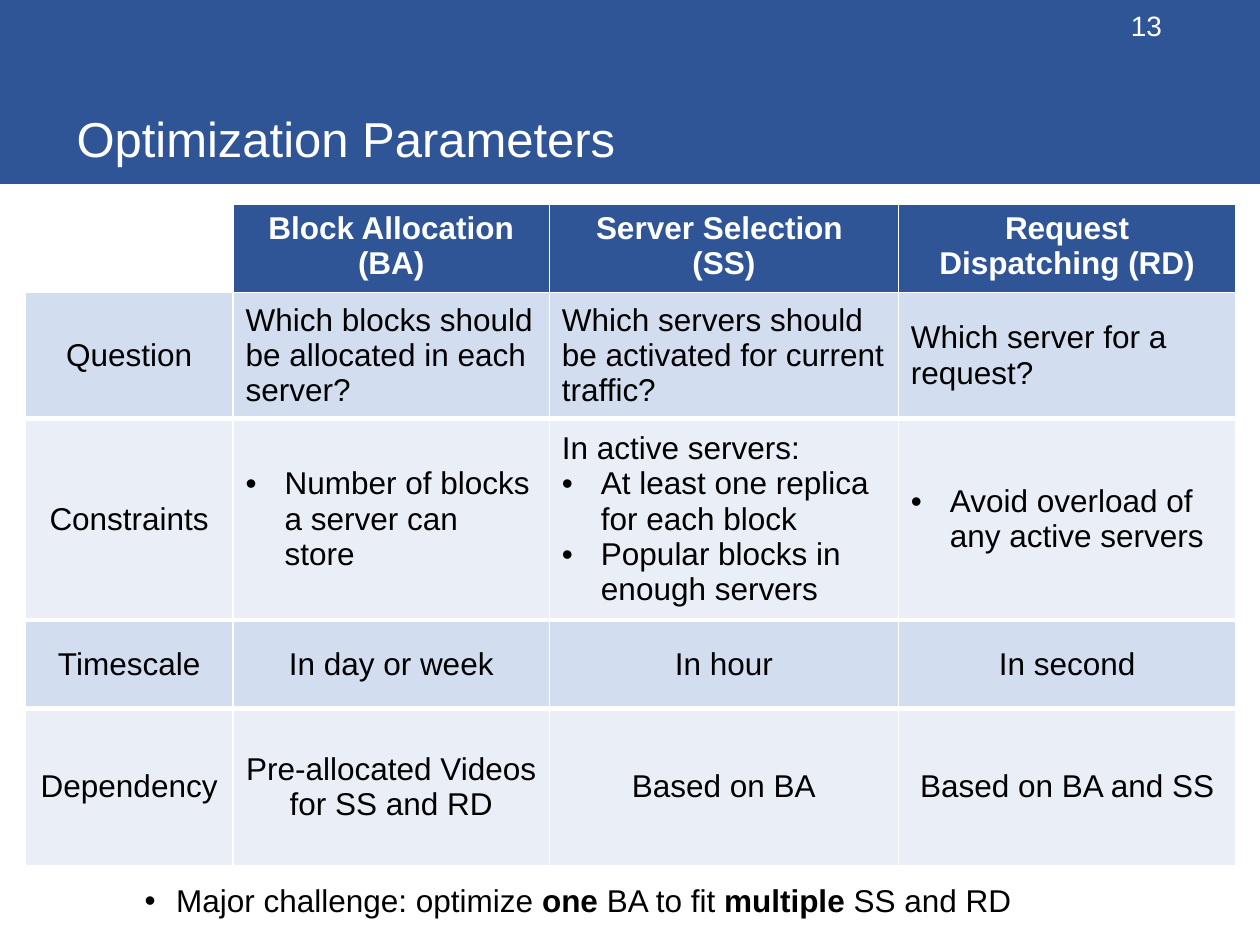
from lxml import etree
from pptx import Presentation
from pptx import util as u
from pptx.dml.color import RGBColor
from pptx.enum import shapes, text
from pptx.oxml import ns

COLORS = {
    "blue": "2F5597",
    "band_dark": "D2DEEF",
    "band_light": "EAEFF7",
    "white": "FFFFFF",
    "black": "000000",
}
FONT = "Arial"
BULLET = "• "
LEFT, CENTER, RIGHT = text.PP_ALIGN.LEFT, text.PP_ALIGN.CENTER, text.PP_ALIGN.RIGHT

COL_WIDTHS = [1.65, 2.51, 2.77, 2.68]
ROW_HEIGHTS = [0.47, 0.87, 0.91, 0.7, 1.25]
# Each cell is a list of paragraphs
ROWS = [
    [[], ["Block Allocation (BA)"], ["Server Selection ", "(SS)"],
     ["Request Dispatching (RD)"]],
    [["Question"],
     ["Which blocks should be allocated in each server?"],
     ["Which servers should be activated for current traffic?"],
     ["Which server for a request?"]],
    [["Constraints"],
     ["• Number of blocks a server can store"],
     ["In active servers:", "• At least one replica for each block",
      "• Popular blocks in enough servers"],
     ["• Avoid overload of any active servers"]],
    [["Timescale"], ["In day or week"], ["In hour"], ["In second"]],
    [["Dependency"], ["Pre-allocated Videos for SS and RD"],
     ["Based on BA"], ["Based on BA and SS"]],
]
LEFT_ALIGNED_ROWS = (1, 2)


def rgb(name):
    return RGBColor.from_string(COLORS[name])


def set_bullet(p, indent):
    pPr = p._p.get_or_add_pPr()
    pPr.set("marL", str(u.Inches(indent)))
    pPr.set("indent", str(-u.Inches(indent)))
    etree.SubElement(pPr, ns.qn("a:buFont"), typeface=FONT)
    etree.SubElement(pPr, ns.qn("a:buChar"), char=BULLET.strip())


def write(tf, paragraphs, size=18, color="black", bold=False, align=LEFT, indent=0.31):
    """Fill a text frame; a paragraph is a string or a list of (text, bold) runs."""
    for i, content in enumerate(paragraphs):
        p = tf.paragraphs[0] if i == 0 else tf.add_paragraph()
        p.alignment = align
        runs = [(content, bold)] if isinstance(content, str) else content
        if runs[0][0].startswith(BULLET):
            set_bullet(p, indent)
            runs = [(runs[0][0][len(BULLET):], runs[0][1])] + runs[1:]
        for run_text, run_bold in runs:
            r = p.add_run()
            r.text = run_text
            r.font.name = FONT
            r.font.size = u.Pt(size)
            r.font.bold = run_bold
            r.font.color.rgb = rgb(color)


def add_text(s, box, paragraphs, anchor=text.MSO_ANCHOR.TOP, **fmt):
    tf = s.shapes.add_textbox(*map(u.Inches, box)).text_frame
    tf.word_wrap = True
    tf.vertical_anchor = anchor
    write(tf, paragraphs, **fmt)
    return tf


def add_banner(s):
    sp = s.shapes.add_shape(shapes.MSO_SHAPE.RECTANGLE, 0, 0, u.Inches(10), u.Inches(1.46))
    sp.shadow.inherit = False
    sp.fill.solid()
    sp.fill.fore_color.rgb = rgb("blue")
    sp.line.fill.background()


def set_borders(cell, top, bottom):
    tcPr = cell._tc.get_or_add_tcPr()
    for side, width in (("L", 1), ("R", 1), ("T", top), ("B", bottom)):
        ln = etree.SubElement(tcPr, ns.qn("a:ln" + side), w=str(u.Pt(width)))
        fill = etree.SubElement(ln, ns.qn("a:solidFill"))
        etree.SubElement(fill, ns.qn("a:srgbClr"), val=COLORS["white"])


def fill_cell(cell, row, col):
    # Thin rules around the header and the outside, thick ones between body rows
    last = len(ROWS) - 1
    set_borders(cell, 3 if row > 1 else 1, 3 if 0 < row < last else 1)
    paragraphs = ROWS[row][col]
    if not paragraphs:
        cell.fill.background()
        return
    cell.fill.solid()
    if row == 0:
        cell.fill.fore_color.rgb = rgb("blue")
        write(cell.text_frame, paragraphs, color="white", bold=True, align=CENTER)
    else:
        cell.fill.fore_color.rgb = rgb("band_dark" if row % 2 else "band_light")
        cell.vertical_anchor = text.MSO_ANCHOR.MIDDLE
        align = LEFT if col and row in LEFT_ALIGNED_ROWS else CENTER
        write(cell.text_frame, paragraphs, align=align)


def add_parameter_table(s):
    height = u.Inches(5.25)
    frame = s.shapes.add_table(len(ROWS), len(COL_WIDTHS), u.Inches(0.2), u.Inches(1.62),
                               u.Inches(sum(COL_WIDTHS)), height)
    table = frame.table
    table.first_row = table.horz_banding = False
    for col, width in enumerate(COL_WIDTHS):
        table.columns[col].width = u.Inches(width)
    for row, row_height in enumerate(ROW_HEIGHTS):
        table.rows[row].height = u.Inches(row_height)
        for col in range(len(COL_WIDTHS)):
            fill_cell(table.cell(row, col), row, col)
    frame.height = height


def main():
    prs = Presentation()
    prs.slide_width, prs.slide_height = u.Inches(10), u.Inches(7.5)
    s = prs.slides.add_slide(prs.slide_layouts[6])

    # Header band with title and page number
    add_banner(s)
    add_text(s, (0.51, 0.13, 9.29, 1.25), ["Optimization Parameters"],
             anchor=text.MSO_ANCHOR.BOTTOM, size=28, color="white")
    add_text(s, (6.63, 0, 2.69, 0.4), ["13"],
             anchor=text.MSO_ANCHOR.MIDDLE, size=16, color="white", align=RIGHT)

    # Comparison of the three parameters
    add_parameter_table(s)

    # Closing remark
    remark = [("• Major challenge: optimize ", False), ("one", True), (" BA to fit ", False),
              ("multiple ", True), ("SS and RD", False)]
    tf = add_text(s, (1.05, 6.98, 8.27, 0.39), [remark], indent=0.25)
    p = tf.paragraphs[0]
    p.line_spacing = 0.9
    p.space_before, p.space_after = u.Pt(5.4), u.Pt(6)

    prs.save("out.pptx")


if __name__ == "__main__":
    main()
